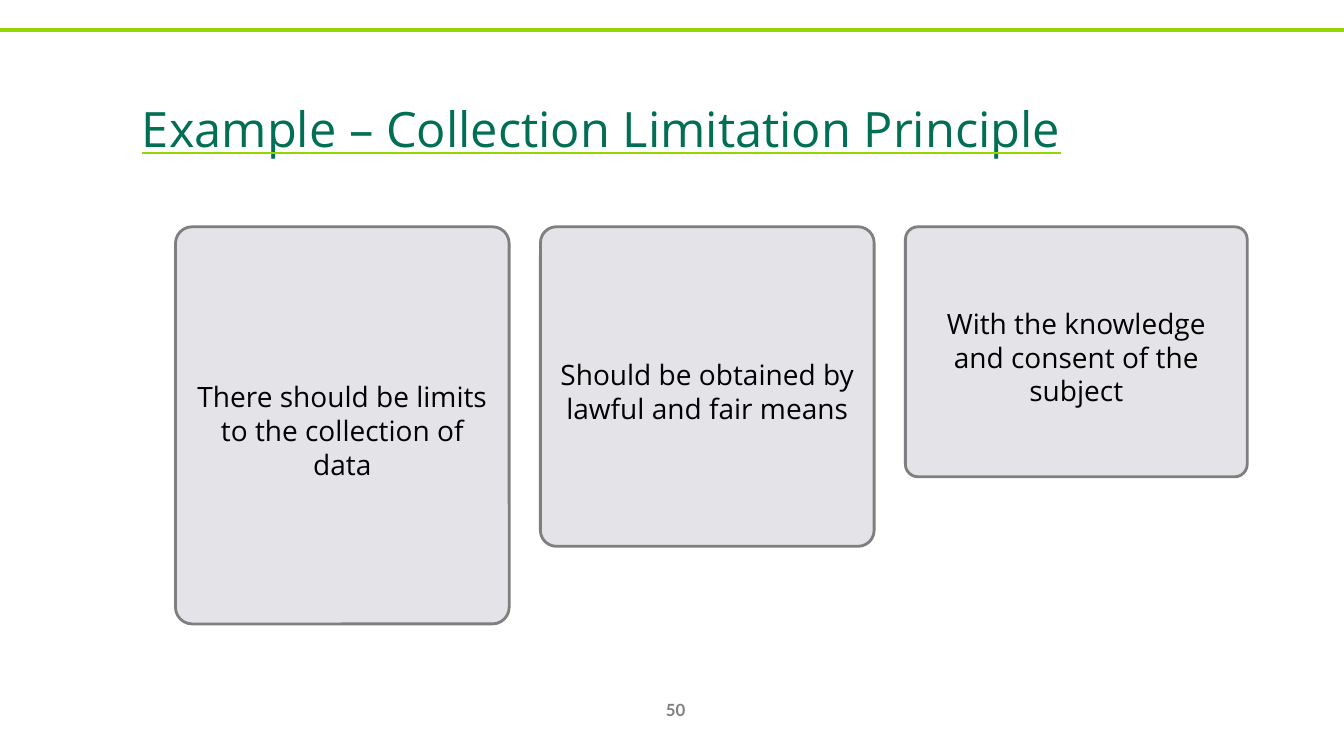
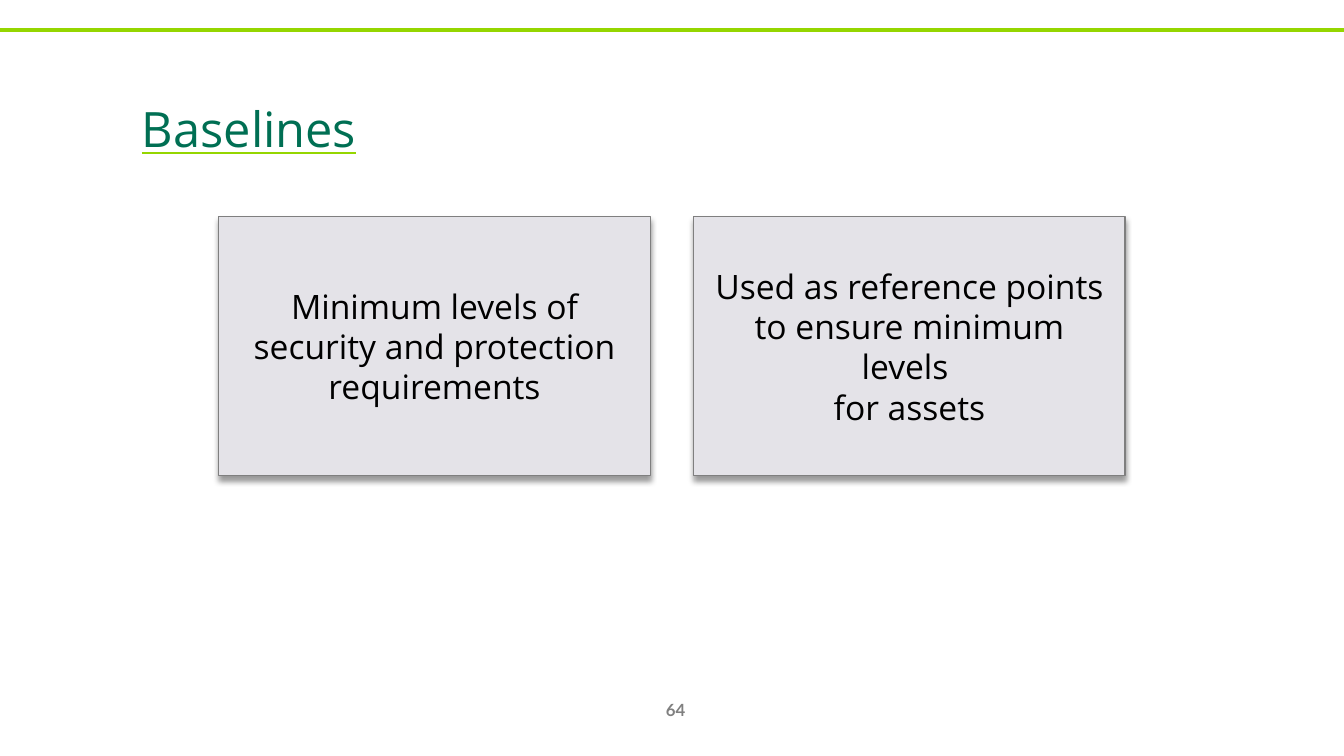
from dataclasses import dataclass

from lxml.etree import SubElement
from pptx import Presentation
from pptx.dml.color import RGBColor
from pptx.enum.shapes import MSO_CONNECTOR as Connector, MSO_SHAPE as Shape
from pptx.enum.text import MSO_ANCHOR as Anchor, PP_ALIGN as Align
from pptx.oxml.ns import qn
from pptx.util import Pt

EMU_PER_PX = 9144  # 100 px to the inch
SLIDE_WIDTH, SLIDE_HEIGHT = 1333, 750


@dataclass(frozen=True)
class Theme:
    band: str = "95D600"
    title: str = "006F53"
    card: str = "E4E3E8"
    outline: str = "7F7F7F"
    body: str = "000000"
    number: str = "808080"
    shadow: str = "000000"
    font: str = "Open Sans"
    number_font: str = "Lato"
    title_size: int = 60
    number_size: int = 12
    card_size: int = 20
    panel_size: int = 24


def px(*lengths):
    return [length * EMU_PER_PX for length in lengths]


class Deck:
    def __init__(self, theme):
        self.theme = theme
        self.presentation = Presentation()
        self.presentation.slide_width, self.presentation.slide_height = px(
            SLIDE_WIDTH, SLIDE_HEIGHT)
        self.slide = None

    def start_slide(self, title, number):
        """Add a slide with the shared band, number and title."""
        theme = self.theme
        blank = self.presentation.slide_layouts[6]
        self.slide = self.presentation.slides.add_slide(blank)
        self.band()
        self.text_box((639, 684, 62, 40), number, theme.number_size,
                      theme.number, theme.number_font, Align.CENTER, bold=True)
        run = self.text_box((131, 61, 1149, 125), title, theme.title_size,
                            theme.title, theme.font, Align.LEFT)
        self.underline_raised(run)

    def band(self):
        line = self.slide.shapes.add_connector(
            Connector.STRAIGHT, *px(0, 30, SLIDE_WIDTH, 30))
        line.line.color.rgb = RGBColor.from_string(self.theme.band)
        line.line.width = Pt(3)
        SubElement(line._element.spPr, qn("a:effectLst"))

    def underline_raised(self, run):
        """Underline in the band colour and raise the text by 12 %."""
        run.font.underline = True
        properties = run._r.get_or_add_rPr()
        properties.set("baseline", "12000")
        underline_fill = properties.makeelement(qn("a:uFill"))
        solid_fill = SubElement(underline_fill, qn("a:solidFill"))
        SubElement(solid_fill, qn("a:srgbClr"), val=self.theme.band)
        properties.find(qn("a:latin")).addprevious(underline_fill)

    def text_box(self, box, text, size, color, font, align, bold=False):
        shape = self.slide.shapes.add_textbox(*px(*box))
        return self.set_text(shape, text, size, color, font, align, bold)

    def set_text(self, shape, text, size, color, font, align, bold=False):
        """Fill a shape with one paragraph and return its last run."""
        frame = shape.text_frame
        frame.word_wrap = True
        frame.vertical_anchor = Anchor.MIDDLE
        paragraph = frame.paragraphs[0]
        paragraph.alignment = align
        for index, line in enumerate(text.split("\n")):
            if index:
                paragraph.add_line_break()
            run = paragraph.add_run()
            run.text = line
            run.font.size = Pt(size)
            run.font.name = font
            run.font.bold = bold
            run.font.color.rgb = RGBColor.from_string(color)
        return run

    def block(self, kind, box, text, size, line_width, insets):
        theme = self.theme
        shape = self.slide.shapes.add_shape(kind, *px(*box))
        shape.shadow.inherit = False
        shape.fill.solid()
        shape.fill.fore_color.rgb = RGBColor.from_string(theme.card)
        shape.line.color.rgb = RGBColor.from_string(theme.outline)
        shape.line.width = Pt(line_width)
        frame = shape.text_frame
        (frame.margin_left, frame.margin_top,
         frame.margin_right, frame.margin_bottom) = px(*insets)
        self.set_text(shape, text, size, theme.body, theme.font, Align.CENTER)
        return shape

    def card(self, box, text):
        shape = self.block(Shape.ROUNDED_RECTANGLE, box, text,
                           self.theme.card_size, 2, (12, 10, 12, 0))
        shape.adjustments[0] = 0.05

    def panel(self, box, text):
        shape = self.block(Shape.RECTANGLE, box, text,
                           self.theme.panel_size, 1, (15, 15, 15, 15))
        self.drop_shadow(shape)

    def drop_shadow(self, shape):
        effects = shape._element.spPr.find(qn("a:effectLst"))
        shadow = SubElement(effects, qn("a:outerShdw"), blurRad=str(Pt(4)),
                            dist=str(Pt(3)), dir="5400000", rotWithShape="0")
        color = SubElement(shadow, qn("a:srgbClr"), val=self.theme.shadow)
        SubElement(color, qn("a:alpha"), val="40000")


def collection_limitation(deck):
    deck.start_slide("Example – Collection Limitation Principle", "50")
    cards = [
        (331, 394, "There should be limits to the collection of data"),
        (331, 317, "Should be obtained by lawful and fair means"),
        (339, 248, "With the knowledge and consent of the subject"),
    ]
    for index, (width, height, text) in enumerate(cards):
        deck.card((174 + 362 * index, 225, width, height), text)


def baselines(deck):
    deck.start_slide("Baselines", "64")
    panels = [
        "Minimum levels of security and protection requirements",
        "Used as reference points to ensure minimum levels \nfor assets",
    ]
    for index, text in enumerate(panels):
        deck.panel((217 + 471 * index, 215, 428, 257), text)


def main():
    deck = Deck(Theme())
    collection_limitation(deck)
    baselines(deck)
    deck.presentation.save("out.pptx")


if __name__ == "__main__":
    main()
